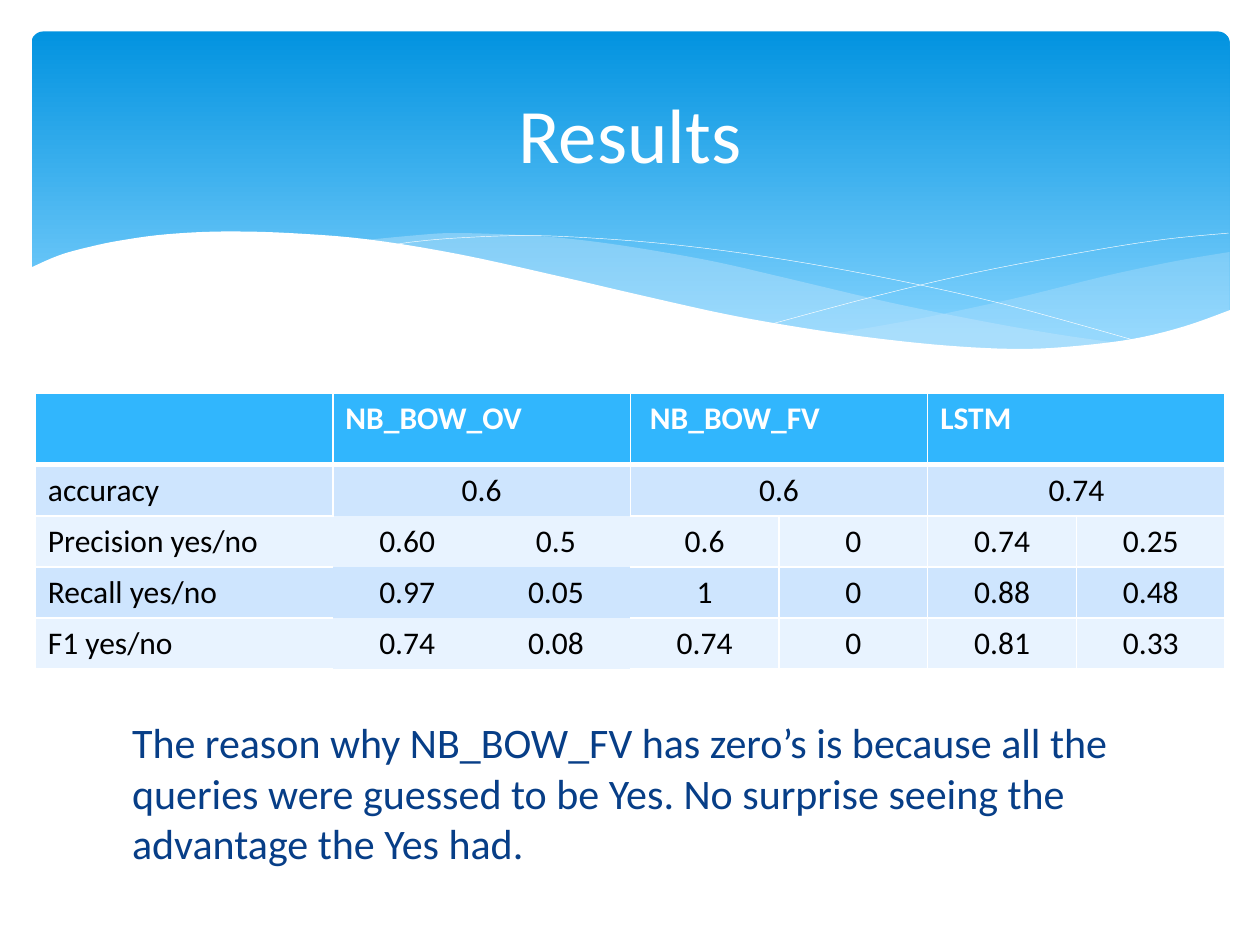
"""Build the Results slide: wave banner, score table and a remark."""
from dataclasses import dataclass
from itertools import product

from lxml.etree import SubElement
from pptx import Presentation
from pptx.dml.color import RGBColor
from pptx.enum.shapes import MSO_SHAPE as Shape
from pptx.enum.text import MSO_ANCHOR as Anchor, PP_ALIGN as Align
from pptx.oxml import parse_xml
from pptx.oxml.ns import nsdecls, qn
from pptx.util import Pt


@dataclass(frozen=True)
class Theme:
    font: str = "Calibri"
    white: str = "FFFFFF"
    black: str = "000000"
    navy: str = "073E87"
    sky_top: str = "0293E0"
    sky_end: str = "83D3FE"
    ribbon: str = "C6E7FC"
    header: str = "31B6FD"
    bands: tuple = ("CEE5FE", "E8F3FF")
    title_size: int = 44
    body_size: int = 24
    cell_size: int = 18


THEME = Theme()

TITLE = "Results"
REMARK = ("The reason why NB_BOW_FV has zero’s is because all the queries were "
          "guessed to be Yes. No surprise seeing the advantage the Yes had.")
MODELS = ["NB_BOW_OV", " NB_BOW_FV", "LSTM"]
SCORES = [
    ("accuracy", [("0.6",), ("0.6",), ("0.74",)]),
    ("Precision yes/no", [("0.60", "0.5"), ("0.6", "0"), ("0.74", "0.25")]),
    ("Recall yes/no", [("0.97", "0.05"), ("1", "0"), ("0.88", "0.48")]),
    ("F1 yes/no", [("0.74", "0.08"), ("0.74", "0"), ("0.81", "0.33")]),
]
UNRULED = set(product((2, 3, 4), (1, 2)))

RIGHT_RIBBON = [
    [(702.7, 144), (673, 149), (641.5, 155.5), (620, 160.6), (579.6, 170.6),
     (525, 182.2), (476, 190.8)],
    [(476, 190.8), (507.6, 195), (545, 198.6), (586, 200), (627.8, 197.3),
     (663, 190.8), (683.3, 185), (702.7, 177.8)],
]
LEFT_RIBBON = [
    [(643, 196.6), (602.6, 190.8), (558, 182.9), (508.3, 172.8), (453, 159.8),
     (409.7, 149.8), (370, 142.6), (334.8, 137.5), (302.4, 134.6), (260, 133.2),
     (236.2, 134.6), (206, 137.5)],
    [(206, 137.5), (246.2, 143.3), (291, 152), (323.3, 159.8), (381.6, 172.8),
     (432.7, 183.6), (478.8, 191.5), (519.8, 197), (556.6, 199.4), (589, 200.2),
     (617, 199.4), (643, 196.6)],
]
FALLING_LINE = [[(222.5, 140.4), (236.2, 138.2), (261.4, 136), (299.5, 134.6),
                 (337.7, 136), (383.8, 139.7), (437.8, 146.7), (500.4, 157.7),
                 (572.4, 173.5), (653, 195.8)]]
RISING_LINE = [[(441.4, 185), (500.4, 169.2), (558.7, 155.5), (623.5, 143.3),
                (665.3, 136.8), (702, 133.2)]]
WHITE_WAVE = [
    [(703.4, 177), (676.8, 186.5), (647.3, 193.7), (612, 198), (582.5, 199.4),
     (548, 198), (509.8, 194.4), (466.6, 188.6), (417, 180), (362.2, 167.8),
     (321.8, 158.4), (262.8, 145.4), (210.2, 136.8), (165.6, 133.2),
     (127.4, 132.3), (95, 133.9), (68.4, 137.5), (48.2, 141.8), (33, 146.2),
     (16.6, 153.4)],
    [(16.6, 236.9), (703.4, 236.9)],
]


def color(value):
    return RGBColor.from_string(value)


def smooth(points, steps=5):
    """Sample a Catmull-Rom curve through the points."""
    ends = [points[0], *points, points[-1]]
    curve = [points[0]]
    for a, b, c, d in zip(ends, ends[1:], ends[2:], ends[3:]):
        for t in (step / steps for step in range(1, steps + 1)):
            curve.append(tuple(
                (2 * q + (r - p) * t + (2 * p - 5 * q + 4 * r - s) * t ** 2
                 + (3 * q - p - 3 * r + s) * t ** 3) / 2
                for p, q, r, s in zip(a, b, c, d)))
    return curve


def add_curve(page, sides, fill=None, opacity=100, line=None):
    points = [(Pt(x), Pt(y)) for side in sides for x, y in smooth(side)]
    builder = page.shapes.build_freeform(*points[0], scale=1.0)
    builder.add_line_segments(points[1:], close=fill is not None)
    curve = builder.convert_to_shape()
    curve.shadow.inherit = False
    if fill:
        curve.fill.solid()
        curve.fill.fore_color.rgb = color(fill)
        shade = curve.element.spPr.find(qn("a:solidFill"))[0]
        SubElement(shade, qn("a:alpha"), val=str(opacity * 1000))
    else:
        curve.fill.background()
    if line:
        curve.line.color.rgb = color(line)
        curve.line.width = Pt(0.25)
    else:
        curve.line.fill.background()


def write(frame, text, size, ink, bold=False, align=Align.LEFT, anchor=Anchor.TOP):
    frame.word_wrap = True
    frame.vertical_anchor = anchor
    para = frame.paragraphs[0]
    para.alignment = align
    span = para.add_run()
    span.text = text
    span.font.name, span.font.size, span.font.bold = THEME.font, Pt(size), bold
    span.font.color.rgb = color(ink)


def rule_cell(cell, row, col):
    """Draw the cell's borders, leaving the edges of unruled cells open."""
    sides = [("L", 0, -1), ("R", 0, 1), ("T", -1, 0), ("B", 1, 0)]
    for index, (side, down, across) in enumerate(sides):
        is_open = UNRULED & {(row, col), (row + down, col + across)}
        under_header = (row, side) in {(0, "B"), (1, "T")}
        paint = "<a:noFill/>" if is_open else (
            f'<a:solidFill><a:srgbClr val="{THEME.white}"/></a:solidFill>')
        cell._tc.get_or_add_tcPr().insert(index, parse_xml(
            f'<a:ln{side} {nsdecls("a")} w="{Pt(3 if under_header else 1)}">'
            f"{paint}</a:ln{side}>"))


def add_scores(page):
    rows = [("", [(model,) for model in MODELS]), *SCORES]
    columns = 1 + 2 * len(MODELS)
    table = page.shapes.add_table(len(rows), columns, Pt(20.2), Pt(224.6),
                                  Pt(680), Pt(157.8)).table
    for col, column in enumerate(table.columns):
        column.width = Pt(85 if col else 170)
    for row, (label, groups) in enumerate(rows):
        table.rows[row].height = Pt(29.2 if row else 41)
        for col in range(columns):
            cell = table.cell(row, col)
            cell.fill.solid()
            cell.fill.fore_color.rgb = color(
                THEME.bands[(row - 1) % 2] if row else THEME.header)
            rule_cell(cell, row, col)
        texts = {0: label}
        for group, values in enumerate(groups):
            first = 1 + 2 * group
            texts.update(enumerate(values, first))
            if len(values) == 1:
                table.cell(row, first).merge(table.cell(row, first + 1))
        for col, text in texts.items():
            if text:
                write(table.cell(row, col).text_frame, text, THEME.cell_size,
                      THEME.black if row else THEME.white, bold=row == 0,
                      align=Align.CENTER if row and col else Align.LEFT)


def add_banner(page):
    banner = page.shapes.add_shape(Shape.ROUNDED_RECTANGLE, Pt(18), Pt(18),
                                   Pt(684.7), Pt(194.4))
    banner.adjustments[0] = 0.034
    banner.shadow.inherit = False
    banner.line.fill.background()
    banner.fill.gradient()
    banner.fill.gradient_angle = 270
    stops = [(0, THEME.sky_top), (0.9, THEME.sky_end)]
    for stop, (position, shade) in zip(banner.fill.gradient_stops, stops):
        stop.position = position
        stop.color.rgb = color(shade)
    add_curve(page, RIGHT_RIBBON, fill=THEME.ribbon, opacity=29)
    add_curve(page, LEFT_RIBBON, fill=THEME.ribbon, opacity=40)
    add_curve(page, FALLING_LINE, line=THEME.white)
    add_curve(page, RISING_LINE, line=THEME.white)
    add_curve(page, WHITE_WAVE, fill=THEME.white)


deck = Presentation()
deck.slide_width, deck.slide_height = Pt(720), Pt(540)
page = deck.slides.add_slide(deck.slide_layouts[5])
add_banner(page)

box = page.shapes.add_textbox(Pt(68.4), Pt(406), Pt(583.2), Pt(104.4))
write(box.text_frame, REMARK, THEME.body_size, THEME.navy)

title = page.shapes.title
title.left, title.top, title.width, title.height = Pt(36), Pt(26.6), Pt(648), Pt(98.6)
write(title.text_frame, TITLE, THEME.title_size, THEME.white,
      align=Align.CENTER, anchor=Anchor.MIDDLE)
page.shapes.element.append(title.element)

add_scores(page)
deck.save("out.pptx")
